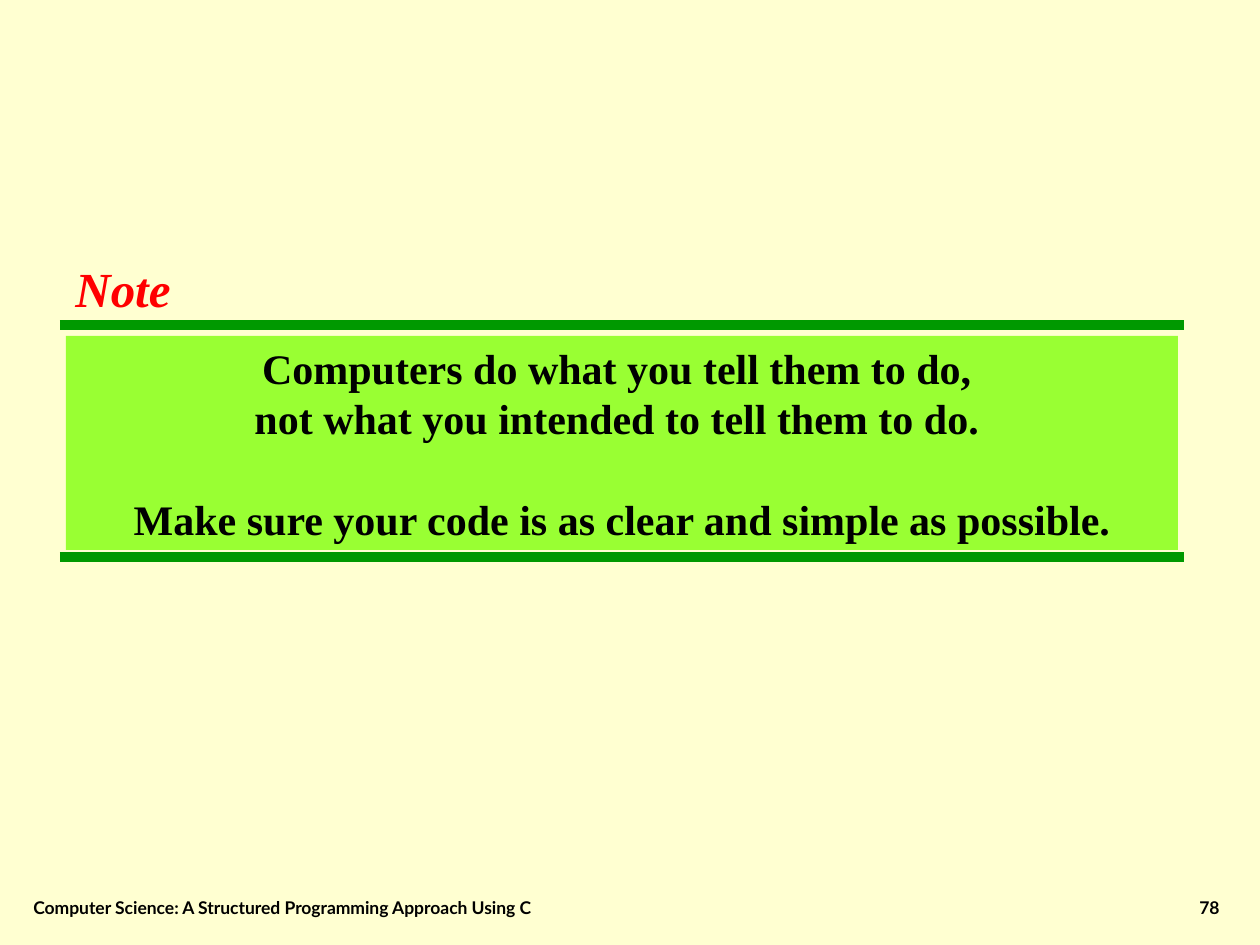
from lxml import etree
from pptx import Presentation
from pptx.dml.color import RGBColor
from pptx.enum.shapes import MSO_CONNECTOR, MSO_SHAPE
from pptx.enum.text import MSO_ANCHOR, PP_ALIGN
from pptx.oxml.ns import qn
from pptx.util import Emu, Pt

PX = 914400 / 126
STRAIGHT = MSO_CONNECTOR.STRAIGHT
RECT = MSO_SHAPE.RECTANGLE
TOP, BOTTOM = MSO_ANCHOR.TOP, MSO_ANCHOR.BOTTOM
LEFT, CENTER, RIGHT = PP_ALIGN.LEFT, PP_ALIGN.CENTER, PP_ALIGN.RIGHT
SERIF, SANS = "Times New Roman", "Lato"
LINE_PITCH = Pt(28.8)


def px(*values):
    """Turn pixel lengths into EMU."""
    return [Emu(round(v * PX)) for v in values]


def color(hex_text):
    return RGBColor.from_string(hex_text)


def add_run(p, text, font, size, hex_text="000000", italic=False):
    r = p.add_run()
    r.text = text
    r.font.name = font
    r.font.size = Pt(size)
    r.font.bold = True
    r.font.italic = italic
    r.font.color.rgb = color(hex_text)


def add_label(slide, box, text, font, size, hex_text="000000",
              align=LEFT, anchor=TOP, wrap=True, italic=False):
    tf = slide.shapes.add_textbox(*px(*box)).text_frame
    tf.word_wrap = wrap
    tf.vertical_anchor = anchor
    p = tf.paragraphs[0]
    p.alignment = align
    add_run(p, text, font, size, hex_text, italic)


def add_rule(slide, left, y, width):
    line = slide.shapes.add_connector(STRAIGHT, *px(left, y, left + width, y))
    line.line.color.rgb = color("009900")
    line.line.width = Pt(6)
    etree.SubElement(line._element.spPr, qn("a:effectLst"))


def add_message(slide, box, statements):
    """Filled panel with one paragraph per statement, given as its lines."""
    sp = slide.shapes.add_shape(RECT, *px(*box))
    sp.shadow.inherit = False
    sp.fill.solid()
    sp.fill.fore_color.rgb = color("99FF33")
    sp.line.fill.background()
    tf = sp.text_frame
    tf.word_wrap = True
    tf.vertical_anchor = TOP
    for i, lines in enumerate(statements):
        p = tf.paragraphs[0] if i == 0 else tf.add_paragraph()
        p.alignment = CENTER
        p.line_spacing = LINE_PITCH
        if i:
            p.space_before = LINE_PITCH
        for j, text in enumerate(lines):
            if j:
                p.add_line_break()
            add_run(p, text, SERIF, 24)


def add_note(slide, box, title, statements):
    """Title above a message panel that sits between two rules."""
    left, top, width, height = box
    for y in (top + 73, top + height):
        add_rule(slide, left, y, width)
    add_message(slide, (left + 6, top + 84, width - 12, 214), statements)
    add_label(slide, (left + 3, top, 120, 72), title, SERIF, 28, "FF0000",
              align=CENTER, wrap=False, italic=True)


def add_footer(slide, box, text, number):
    left, top, width, height = box
    add_label(slide, (left, top, 714, height), text, SANS, 10, anchor=BOTTOM)
    add_label(slide, (left + width - 262, top, 262, height), number, SANS, 10,
              align=RIGHT, anchor=BOTTOM)


def main():
    prs = Presentation()
    prs.slide_width, prs.slide_height = px(1260, 945)
    slide = prs.slides.add_slide(prs.slide_layouts[6])
    slide.background.fill.solid()
    slide.background.fill.fore_color.rgb = color("FFFFD1")

    add_note(slide, (60, 252, 1124, 305), "Note", [
        ["Computers do what you tell them to do, ",
         "not what you intended to tell them to do. "],
        ["Make sure your code is as clear and simple as possible."],
    ])
    add_footer(slide, (21, 861, 1211, 63),
               "Computer Science: A Structured Programming Approach Using C", "78")
    prs.save("out.pptx")


if __name__ == "__main__":
    main()
